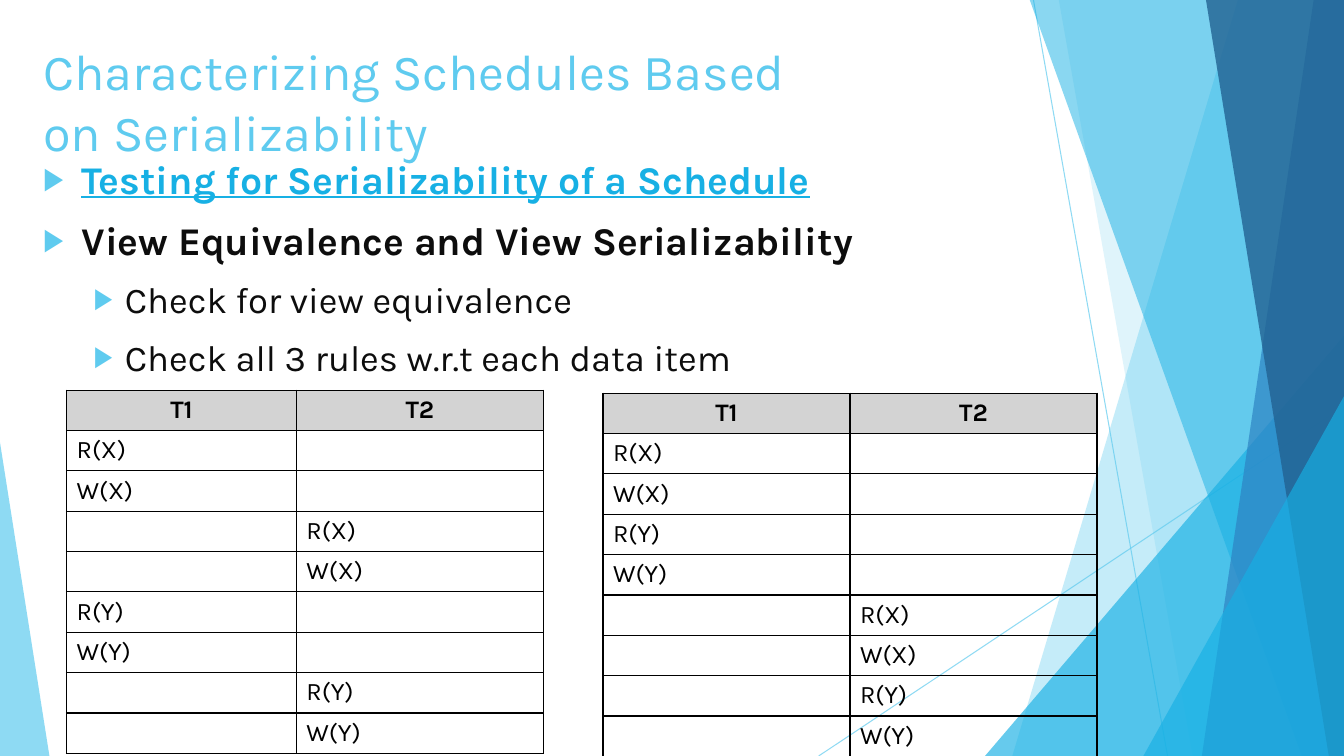
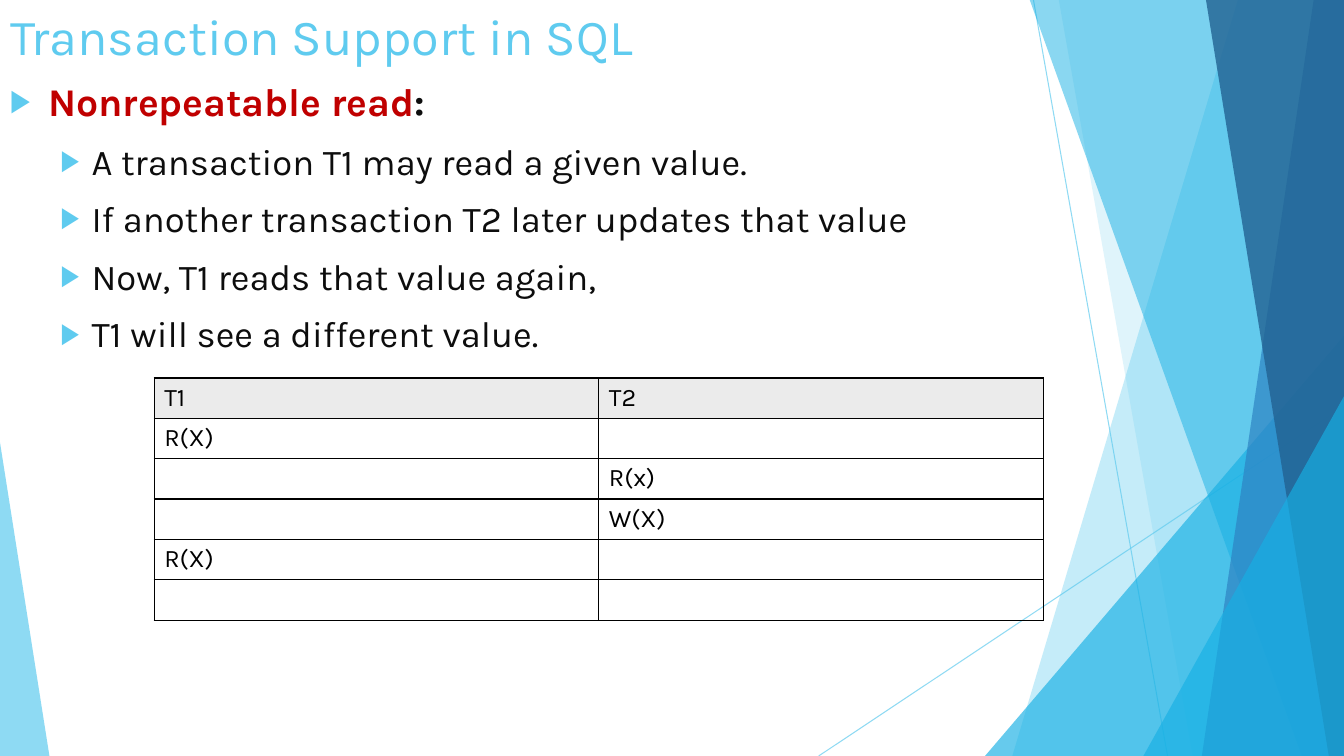
from lxml.etree import SubElement
from pptx import Presentation
from pptx.dml.color import RGBColor
from pptx.enum.shapes import MSO_CONNECTOR as Connector, MSO_SHAPE as Shape
from pptx.enum.text import MSO_ANCHOR as Anchor, MSO_AUTO_SIZE as AutoSize, PP_ALIGN as Align
from pptx.oxml.ns import qn
from pptx.util import Inches, Pt

COLORS = {"sky": "5FCBEF", "cyan": "17B0E4", "blue": "2E83C3", "navy": "226292",
          "ink": "0D0D0D", "black": "000000", "red": "C00000",
          "gray": "D3D3D3", "pale": "EBEBEB"}
FONT = "Karla"
WIDTH, HEIGHT, TOP = 13.33, 7.5, -0.01

# Text formats
TITLE = {"size": 36, "color": "sky", "bold": False}
HEADING = {"size": 28, "color": "ink", "bold": True}
LINKED = {**HEADING, "color": "cyan", "underline": True}
ALERT = {**HEADING, "color": "red"}
DETAIL = {"size": 26, "color": "ink", "bold": False}
CELL = {"size": 18, "color": "black", "bold": False}
CELL_HEAD = {**CELL, "bold": True}

# Bullet levels: left margin and hanging indent
LEVELS = [(0.38, -0.38), (0.81, -0.31)]

# Decoration, back to front: bands are (top left, bottom left, top right, colour, opacity)
BANDS_BACK = [(12.28, 10.04, "sky", 36), (10.5, 11.83, "sky", 20)]
BANDS_FRONT = [(10.21, 12.91, "cyan", 50), (13.03, 11.92, "blue", 70),
               (11.96, 13.18, "navy", 80)]
RAYS = [(10.25, 0, 11.58, HEIGHT), (WIDTH, 4.03, 8.12, HEIGHT)]


def rgb(name):
    return RGBColor.from_string(COLORS[name])


def set_font(font, style):
    values = {**style, "name": FONT, "size": Pt(style["size"])}
    font.color.rgb = rgb(values.pop("color"))
    for key, value in values.items():
        setattr(font, key, value)


def set_opacity(fill_parent, percent):
    color = next(fill_parent.iter(qn("a:srgbClr")))
    SubElement(color, qn("a:alpha"), val=str(percent * 1000))


def paint(shape, color, opacity):
    shape.shadow.inherit = False
    shape.line.fill.background()
    shape.fill.solid()
    shape.fill.fore_color.rgb = rgb(color)
    set_opacity(shape.element.spPr, opacity)


def add_ray(shapes, x1, y1, x2, y2):
    ray = shapes.add_connector(Connector.STRAIGHT, *map(Inches, (x1, y1, x2, y2)))
    ray.line.color.rgb = rgb("sky")
    ray.line.width = Pt(0.75)
    properties = ray.element.spPr
    set_opacity(properties, 70)
    SubElement(properties, qn("a:effectLst"))


def add_band(shapes, top_x, bottom_x, color, opacity):
    builder = shapes.build_freeform(Inches(top_x), Inches(TOP))
    corners = [(WIDTH, TOP), (WIDTH, HEIGHT), (bottom_x, HEIGHT)]
    builder.add_line_segments([(Inches(x), Inches(y)) for x, y in corners], close=True)
    paint(builder.convert_to_shape(), color, opacity)


def add_triangle(shapes, left, top, width, apex, color, opacity):
    triangle = shapes.add_shape(Shape.ISOSCELES_TRIANGLE, Inches(left), Inches(top),
                                Inches(width), Inches(HEIGHT - top))
    triangle.adjustments[0] = apex
    paint(triangle, color, opacity)


def decorate_layout(layout, slide):
    """Draw the facets on a slide, then hand them to the layout all slides share."""
    group = slide.shapes.add_group_shape()
    shapes = group.shapes
    for ray in RAYS:
        add_ray(shapes, *ray)
    for band in BANDS_BACK:
        add_band(shapes, *band)
    add_triangle(shapes, 9.77, 3.33, 3.56, 1, "cyan", 66)
    for band in BANDS_FRONT:
        add_band(shapes, *band)
    add_triangle(shapes, 11.34, 3.93, 1.99, 1, "cyan", 66)
    add_triangle(shapes, 0, 4.39, 0.49, 0, "sky", 70)
    for number, properties in enumerate(group.element.iter(qn("p:cNvPr")), 100):
        properties.set("id", str(number))
    layout.shapes.element.insert(2, group.element)


def place_title(slide, text, left, top, width, height):
    title = slide.shapes.title
    title.left, title.top, title.width, title.height = map(Inches, (left, top, width, height))
    frame = title.text_frame
    frame.text = text
    frame.vertical_anchor = Anchor.TOP
    frame.auto_size = AutoSize.NONE
    para = frame.paragraphs[0]
    para.alignment = Align.LEFT
    for span in para.runs:
        set_font(span.font, TITLE)


def add_bullet(para, level):
    margin, indent = LEVELS[level]
    properties = para._p.get_or_add_pPr()
    properties.set("marL", str(Inches(margin)))
    properties.set("indent", str(Inches(indent)))
    color = SubElement(properties, qn("a:buClr"))
    SubElement(color, qn("a:srgbClr"), val=COLORS["sky"])
    SubElement(properties, qn("a:buSzPct"), val="80000")
    SubElement(properties, qn("a:buFont"), typeface=FONT)
    SubElement(properties, qn("a:buChar"), char="▶")


def add_bullets(slide, left, top, width, height, items):
    """Each item is a level and its (text, style) spans."""
    box = slide.shapes.add_textbox(*map(Inches, (left, top, width, height)))
    frame = box.text_frame
    frame.word_wrap = True
    for index, (level, spans) in enumerate(items):
        para = frame.add_paragraph() if index else frame.paragraphs[0]
        add_bullet(para, level)
        para.level = level
        para.space_before = Pt(10 if index else 0)
        for text, style in spans:
            span = para.add_run()
            span.text = text
            set_font(span.font, style)


def set_borders(cell):
    properties = cell._tc.get_or_add_tcPr()
    for index, side in enumerate(("a:lnL", "a:lnR", "a:lnT", "a:lnB")):
        line = properties.makeelement(qn(side), {"w": str(Pt(1))})
        fill = SubElement(line, qn("a:solidFill"))
        SubElement(fill, qn("a:srgbClr"), val=COLORS["black"])
        properties.insert(index, line)


def fill_cell(cell, text, style, align):
    para = cell.text_frame.paragraphs[0]
    para.alignment = align
    if text:
        span = para.add_run()
        span.text = text
        set_font(span.font, style)
    else:
        # An empty cell keeps the row height of the table font
        end = SubElement(para._p, qn("a:endParaRPr"), sz=str(style["size"] * 100))
        SubElement(end, qn("a:latin"), typeface=FONT)


def add_schedule(slide, left, top, widths, steps, head_fill="gray",
                 head_style=CELL_HEAD, head_align=Align.CENTER, row_height=0.39):
    """Each step is the transaction column (0 or 1) and its operation."""
    rows = [("T1", "T2")] + [(step, "") if column == 0 else ("", step)
                             for column, step in steps]
    frame = slide.shapes.add_table(len(rows), len(widths), Inches(left), Inches(top),
                                   Inches(sum(widths)), Inches(row_height * len(rows)))
    table = frame.table
    table.horz_banding = False
    for column, width in zip(table.columns, widths):
        column.width = Inches(width)
    for r, texts in enumerate(rows):
        table.rows[r].height = Inches(row_height)
        for c, text in enumerate(texts):
            cell = table.cell(r, c)
            if r == 0:
                cell.fill.solid()
                cell.fill.fore_color.rgb = rgb(head_fill)
                fill_cell(cell, text, head_style, head_align)
            else:
                cell.fill.background()
                fill_cell(cell, text, CELL, Align.LEFT)
            set_borders(cell)


def build_serializability(slide):
    place_title(slide, "Characterizing Schedules Based\von Serializability",
                0.33, 0.35, 11.21, 1.44)
    add_bullets(slide, 0.33, 1.49, 10.57, 2.35, [
        (0, [("Testing for Serializability of a Schedule", LINKED)]),
        (0, [("View Equivalence and View Serializability", HEADING)]),
        (1, [("Check for view equivalence", DETAIL)]),
        (1, [("Check all 3 rules w.r.t each data item", DETAIL)]),
    ])
    # The same operations, interleaved and serial
    on_x, on_y = ("R(X)", "W(X)"), ("R(Y)", "W(Y)")
    interleaved = [(t, step) for pair in (on_x, on_y) for t in (0, 1) for step in pair]
    serial = [(t, step) for t in (0, 1) for step in on_x + on_y]
    add_schedule(slide, 0.66, 3.87, (2.28, 2.45), interleaved)
    add_schedule(slide, 5.98, 3.9, (2.45, 2.45), serial)


def build_nonrepeatable_read(slide):
    place_title(slide, "Transaction Support in SQL", 0, 0, 11.21, 0.73)
    details = ["A transaction T1 may read a given value.",
               "If another transaction T2 later updates that value",
               "Now, T1 reads that value again,",
               "T1 will see a different value."]
    add_bullets(slide, 0, 0.72, 12.1, 2.95,
                [(0, [("Nonrepeatable read", ALERT), (":", HEADING)])]
                + [(1, [(text, DETAIL)]) for text in details])
    steps = [(0, "R(X)"), (1, "R(x)"), (1, "W(X)"), (0, "R(X)"), (0, "")]
    add_schedule(slide, 1.53, 3.75, (4.41, 4.41), steps, head_fill="pale",
                 head_style=CELL, head_align=Align.LEFT, row_height=0.38)


def main():
    deck = Presentation()
    deck.slide_width, deck.slide_height = Inches(WIDTH), Inches(HEIGHT)
    layout = deck.slide_layouts[5]
    slides = [deck.slides.add_slide(layout) for _ in range(2)]
    decorate_layout(layout, slides[0])
    build_serializability(slides[0])
    build_nonrepeatable_read(slides[1])
    deck.save("out.pptx")


if __name__ == "__main__":
    main()
